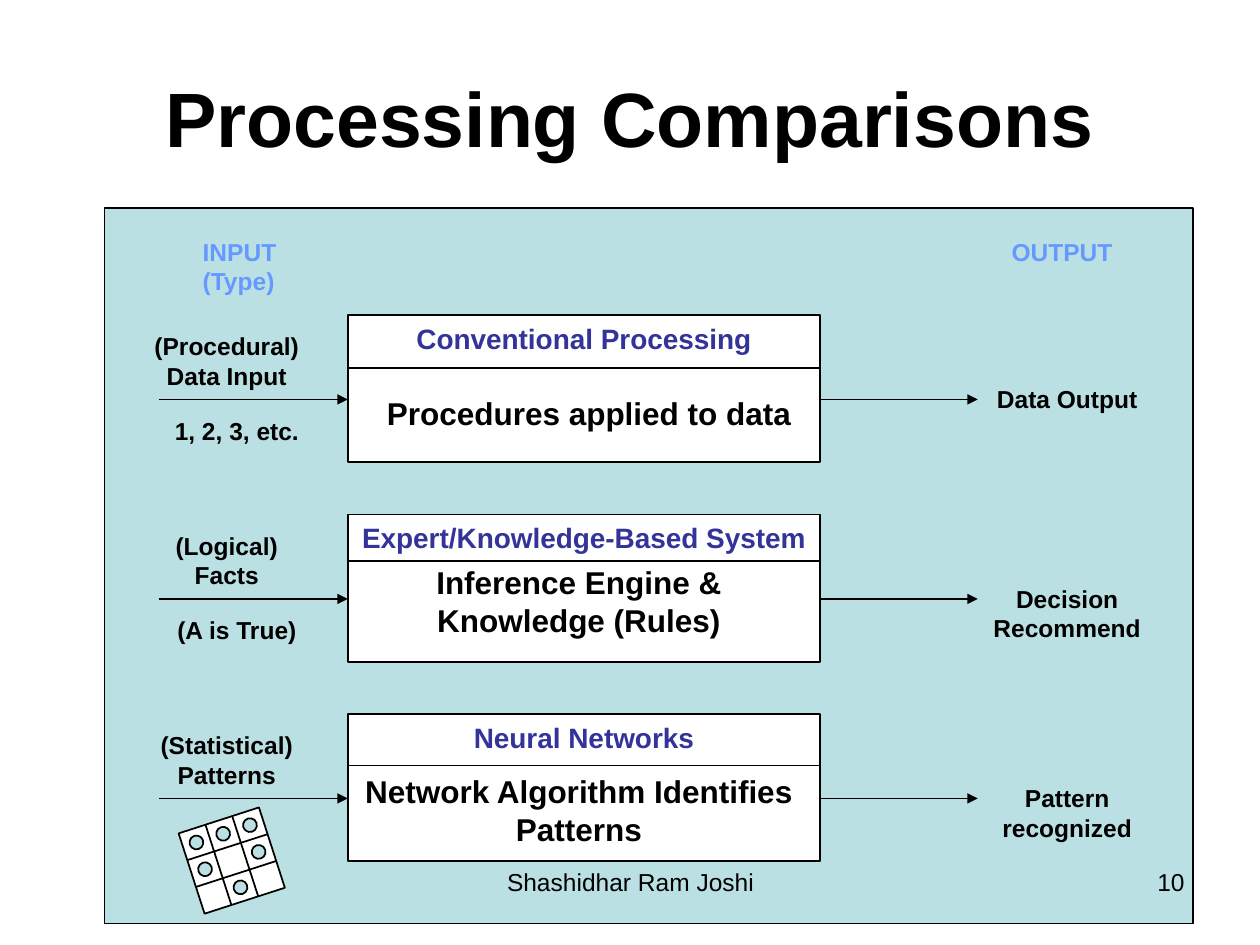
from dataclasses import dataclass
from math import cos, radians, sin

from lxml.etree import SubElement
from pptx import Presentation
from pptx.dml.color import RGBColor as Color
from pptx.enum.shapes import MSO_CONNECTOR as Connector, MSO_SHAPE as Preset
from pptx.enum.text import MSO_ANCHOR as Anchor, PP_ALIGN as Align
from pptx.oxml.ns import qn
from pptx.shapes.autoshape import Shape
from pptx.slide import Slide
from pptx.text.text import TextFrame
from pptx.util import Inches, Pt


@dataclass(frozen=True)
class Theme:
    font: str = "Arial"
    black: Color = Color(0x00, 0x00, 0x00)
    white: Color = Color(0xFF, 0xFF, 0xFF)
    panel: Color = Color(0xBB, 0xE0, 0xE3)
    column: Color = Color(0x66, 0x99, 0xFF)
    heading: Color = Color(0x33, 0x33, 0x99)
    title_size: int = 44
    body_size: int = 18
    heading_size: int = 16
    label_size: int = 14


THEME = Theme()


@dataclass(frozen=True)
class Process:
    heading: str
    body: str
    body_left: float
    body_offset: float
    divider_offset: float
    source: str
    example: str
    output: str


PROCESSES = [
    Process("Conventional Processing", "Procedures applied to data", 2.84, 0.58, 0.42,
            "(Procedural)\nData Input", "1, 2, 3, etc.", "Data Output"),
    Process("Expert/Knowledge-Based System", "Inference Engine & Knowledge (Rules)", 2.76, 0.34, 0.37,
            "(Logical)\nFacts", "(A is True)", "Decision Recommend"),
    Process("Neural Networks", "Network Algorithm Identifies Patterns", 2.76, 0.41, 0.41,
            "(Statistical)\nPatterns", "", "Pattern recognized"),
]
FIRST_TOP, ROW_PITCH = 2.5, 19 / 12
BOX_LEFT, BOX_WIDTH, BOX_HEIGHT = 2.76, 3.75, 1.17
BOX_RIGHT = BOX_LEFT + BOX_WIDTH

GRID_X, GRID_Y, GRID_ANGLE = 1.84, 6.83, -17.9
GRID_SIZE, DOT_SIZE = 0.67, 0.11
CELL = GRID_SIZE / 3
DOT_CELLS = [(-1, -1), (-1, 0), (0, 1), (1, 0), (0, -1), (1, -1)]


def write_text(frame: TextFrame, text: str, size: int, color: Color = THEME.black,
               align: Align = Align.CENTER, bold: bool = True) -> None:
    frame.word_wrap = True
    frame.text = text
    for paragraph in frame.paragraphs:
        paragraph.alignment = align
        font = paragraph.font
        font.name, font.size, font.bold = THEME.font, Pt(size), bold
        font.color.rgb = color


def add_text(slide: Slide, left: float, top: float, width: float, height: float,
             text: str, size: int = THEME.label_size, color: Color = THEME.black,
             align: Align = Align.CENTER, bold: bool = True) -> None:
    box = slide.shapes.add_textbox(Inches(left), Inches(top), Inches(width), Inches(height))
    write_text(box.text_frame, text, size, color, align, bold)


def add_shape(slide: Slide, preset: Preset, left: float, top: float, width: float,
              height: float, fill: Color, line_width: float = 1) -> Shape:
    shape = slide.shapes.add_shape(preset, Inches(left), Inches(top), Inches(width), Inches(height))
    shape.shadow.inherit = False
    shape.fill.solid()
    shape.fill.fore_color.rgb = fill
    shape.line.color.rgb = THEME.black
    shape.line.width = Pt(line_width)
    return shape


def add_line(slide: Slide, start: tuple[float, float], end: tuple[float, float],
             arrow: bool = False) -> None:
    line = slide.shapes.add_connector(Connector.STRAIGHT, *map(Inches, (*start, *end)))
    line.line.color.rgb = THEME.black
    line.line.width = Pt(1)
    properties = line._element.spPr
    if arrow:
        SubElement(properties.find(qn("a:ln")), qn("a:tailEnd"), type="triangle")
    SubElement(properties, qn("a:effectLst"))


def add_process(slide: Slide, process: Process, top: float) -> None:
    add_shape(slide, Preset.RECTANGLE, BOX_LEFT, top, BOX_WIDTH, BOX_HEIGHT, THEME.white)
    divider = top + process.divider_offset
    add_line(slide, (BOX_LEFT, divider), (BOX_RIGHT, divider))
    add_text(slide, BOX_LEFT, top, BOX_WIDTH, 0.37, process.heading,
             THEME.heading_size, THEME.heading)
    add_text(slide, process.body_left, top + process.body_offset, 3.67, 0.7,
             process.body, THEME.body_size)
    flow = top + 0.67
    add_line(slide, (1.26, flow), (BOX_LEFT, flow), arrow=True)
    add_line(slide, (BOX_RIGHT, flow), (7.76, flow), arrow=True)
    add_text(slide, 1.01, top + 0.08, 1.58, 0.57, process.source)
    if process.example:
        add_text(slide, 1.09, top + 0.75, 1.58, 0.34, process.example)
    add_text(slide, 7.68, top + 0.5, 1.58, 0.57, process.output)


def grid_point(across: float, down: float) -> tuple[float, float]:
    angle = radians(GRID_ANGLE)
    return (GRID_X + across * cos(angle) - down * sin(angle),
            GRID_Y + across * sin(angle) + down * cos(angle))


def add_grid_shape(slide: Slide, preset: Preset, center: tuple[float, float],
                   size: float, fill: Color) -> None:
    x, y = center
    shape = add_shape(slide, preset, x - size / 2, y - size / 2, size, size, fill)
    shape.rotation = GRID_ANGLE


def add_pattern_grid(slide: Slide) -> None:
    add_grid_shape(slide, Preset.RECTANGLE, (GRID_X, GRID_Y), GRID_SIZE, THEME.white)
    edge = GRID_SIZE / 2
    for offset in (-CELL / 2, CELL / 2):
        add_line(slide, grid_point(offset, -edge), grid_point(offset, edge))
        add_line(slide, grid_point(-edge, offset), grid_point(edge, offset))
    for column, row in DOT_CELLS:
        add_grid_shape(slide, Preset.OVAL, grid_point(column * CELL, row * CELL),
                       DOT_SIZE, THEME.panel)


def main() -> None:
    presentation = Presentation()
    presentation.slide_width, presentation.slide_height = Inches(10), Inches(7.5)
    slide = presentation.slides.add_slide(presentation.slide_layouts[5])

    title = slide.shapes.title
    title.left, title.top, title.width, title.height = map(Inches, (0.5, 0.3, 9, 1.25))
    title.text_frame.vertical_anchor = Anchor.MIDDLE
    write_text(title.text_frame, "Processing Comparisons", THEME.title_size)

    add_shape(slide, Preset.RECTANGLE, 0.83, 1.65, 8.64, 5.68, THEME.panel, 0.75)
    add_text(slide, 1.51, 1.83, 0.81, 0.57, "INPUT\n(Type)", color=THEME.column, align=Align.LEFT)
    add_text(slide, 7.93, 1.83, 1.08, 0.57, "OUTPUT", color=THEME.column, align=Align.LEFT)
    for index, process in enumerate(PROCESSES):
        add_process(slide, process, FIRST_TOP + index * ROW_PITCH)
    add_pattern_grid(slide)

    add_text(slide, 3.42, 6.83, 3.17, 0.52, "Shashidhar Ram Joshi", bold=False)
    add_text(slide, 7.17, 6.83, 2.33, 0.52, "10", align=Align.RIGHT, bold=False)
    presentation.save("out.pptx")


if __name__ == "__main__":
    main()
